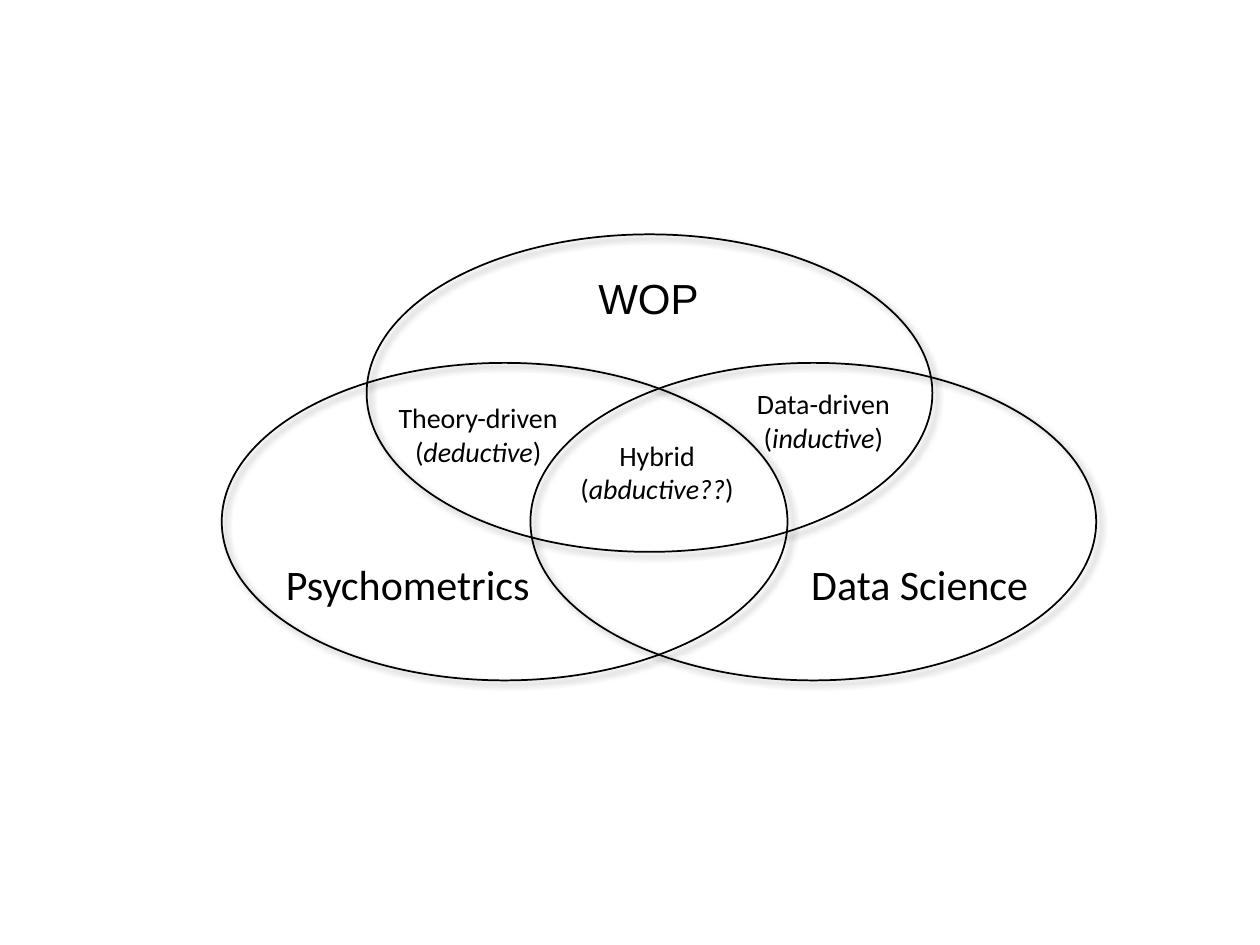
"""Build a slide with a three-circle Venn diagram of research fields."""
from lxml.etree import SubElement
from pptx import Presentation
from pptx.dml.color import RGBColor
from pptx.enum.shapes import MSO_SHAPE
from pptx.enum.text import PP_ALIGN
from pptx.oxml.ns import qn
from pptx.util import Inches, Pt

COLORS = {"ink": "000000", "paper": "FFFFFF"}
FIELD_WIDTH, FIELD_HEIGHT = 4.49, 2.52


def add_shadow(shape):
    shape.shadow.inherit = False
    effects = shape._element.spPr.find(qn("a:effectLst"))
    shadow = SubElement(effects, qn("a:outerShdw"), blurRad=str(Pt(4)), dist=str(Pt(3)),
                        dir=str(45 * 60000), algn="tl", rotWithShape="0")
    color = SubElement(shadow, qn("a:srgbClr"), val=COLORS["ink"])
    SubElement(color, qn("a:alpha"), val="40000")


def add_field(page, left, top):
    oval = page.shapes.add_shape(MSO_SHAPE.OVAL, Inches(left), Inches(top),
                                 Inches(FIELD_WIDTH), Inches(FIELD_HEIGHT))
    oval.fill.background()
    oval.line.color.rgb = RGBColor.from_string(COLORS["ink"])
    oval.line.width = Pt(1)
    add_shadow(oval)


def add_text(para, text, size=16, font="Calibri", italic=False):
    span = para.add_run()
    span.text = text
    span.font.size = Pt(size)
    span.font.name = font
    span.font.italic = italic
    span.font.color.rgb = RGBColor.from_string(COLORS["ink"])


def add_box(page, left, top, width, height):
    box = page.shapes.add_textbox(Inches(left), Inches(top), Inches(width), Inches(height))
    box.text_frame.word_wrap = False
    return box.text_frame


def add_field_name(page, text, left, top, width, font="Calibri"):
    frame = add_box(page, left, top, width, 0.5)
    add_text(frame.paragraphs[0], text, size=24, font=font)


def add_approach(page, name, reasoning, left, top, width, height=0.64):
    frame = add_box(page, left, top, width, height)
    title, detail = frame.paragraphs[0], frame.add_paragraph()
    title.alignment = detail.alignment = PP_ALIGN.CENTER
    add_text(title, name)
    add_text(detail, "(")
    add_text(detail, reasoning, italic=True)
    add_text(detail, ")")


def main():
    deck = Presentation()
    deck.slide_width, deck.slide_height = Inches(10), Inches(7.5)
    page = deck.slides.add_slide(deck.slide_layouts[6])
    page.background.fill.solid()
    page.background.fill.fore_color.rgb = RGBColor.from_string(COLORS["paper"])

    add_field(page, 1.76, 2.88)
    add_field_name(page, "Psychometrics", 2.17, 4.38, 2.15)
    add_field_name(page, "Data Science", 6.34, 4.38, 1.94)
    add_field_name(page, "WOP", 4.65, 2.11, 1, font="Arial")
    add_field(page, 4.21, 2.88)
    add_field(page, 2.91, 1.86)
    add_approach(page, "Theory-driven", "deductive", 3.05, 3.13, 1.49)
    add_approach(page, "Data-driven", "inductive", 5.9, 3.02, 1.27, height=0.91)
    add_approach(page, "Hybrid", "abductive??", 4.5, 3.43, 1.43)
    deck.save("out.pptx")


if __name__ == "__main__":
    main()
